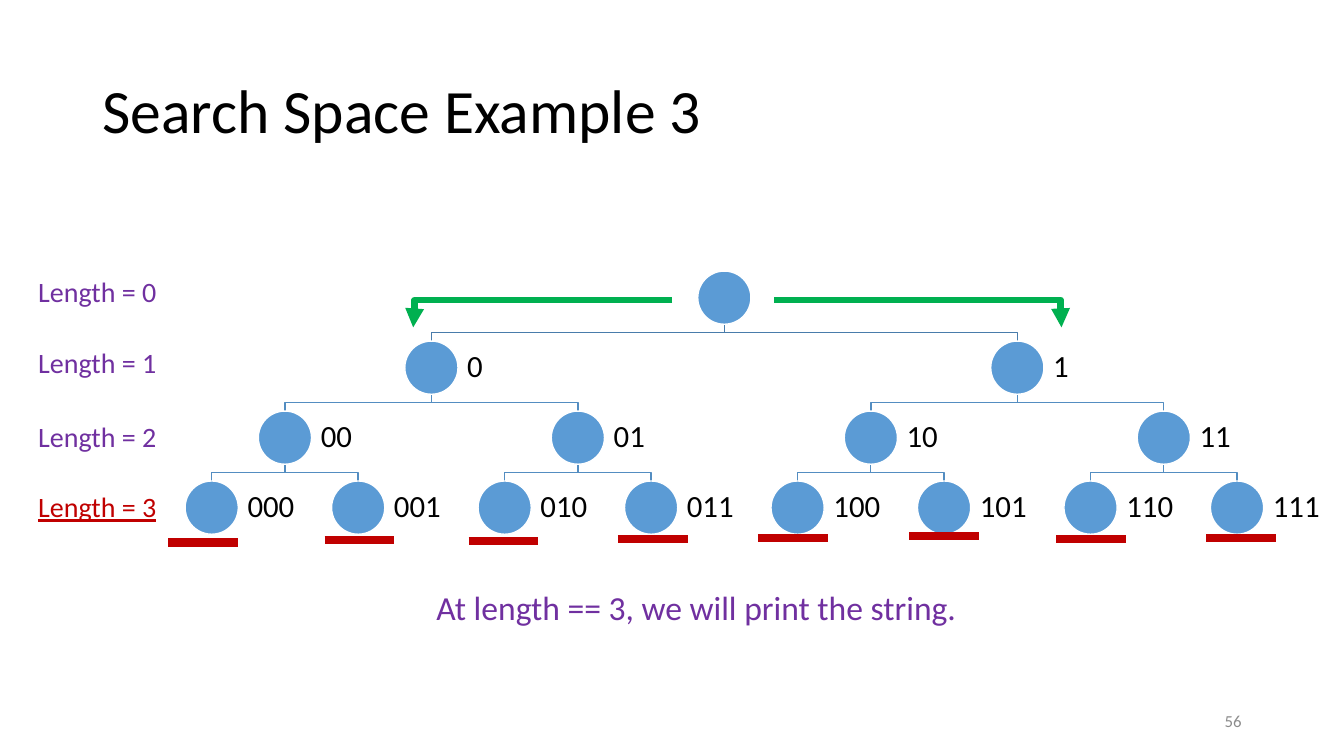
from lxml import etree
from pptx import Presentation
from pptx.dml.color import RGBColor
from pptx.enum.shapes import MSO_CONNECTOR, MSO_SHAPE
from pptx.enum.text import MSO_ANCHOR, MSO_AUTO_SIZE, PP_ALIGN
from pptx.oxml.ns import qn
from pptx.util import Pt

FONT = "Calibri"
BLACK, PURPLE, RED, GREEN, GREY = "000000", "7030A0", "C00000", "00B050", "8C8C8C"
NODE_BLUE, ROOT_EDGE, EDGE, WHITE = "5B9BD5", "497CAB", "538DC1", "FFFFFF"
DEPTH = 3
NODE = 38         # circle diameter
LEVEL_STEP = 50   # distance between tree levels
# left end and height of the bar under each leaf, relative to the tree box
BARS = [(-12, 193.8), (99.6, 192.3), (202.6, 193), (309.2, 191.6),
        (409.2, 190.9), (517.2, 189.4), (622.4, 191.6), (729.6, 190.9)]
BAR_WIDTH = 49.8


def color(value):
    return RGBColor.from_string(value)


def write(tf, text, size, fill=BLACK, align=PP_ALIGN.LEFT, anchor=MSO_ANCHOR.TOP,
          wrap=True, underline=None, spacing=None, inset=None):
    tf.word_wrap = wrap
    tf.auto_size = MSO_AUTO_SIZE.NONE if wrap else MSO_AUTO_SIZE.SHAPE_TO_FIT_TEXT
    tf.vertical_anchor = anchor
    if inset is not None:
        tf.margin_left = tf.margin_right = tf.margin_top = tf.margin_bottom = Pt(inset)
    p = tf.paragraphs[0]
    p.alignment = align
    p.line_spacing = spacing
    r = p.add_run()
    r.text = text
    r.font.name, r.font.size, r.font.underline = FONT, Pt(size), underline
    r.font.color.rgb = color(fill)


def add_text(s, box, text, size, **fmt):
    sp = s.shapes.add_textbox(*map(Pt, box))
    write(sp.text_frame, text, size, **fmt)


def add_line(s, kind, start, end, fill, width):
    sp = s.shapes.add_connector(kind, *map(Pt, (*start, *end)))
    sp.line.color.rgb = color(fill)
    sp.line.width = Pt(width)
    etree.SubElement(sp._element.spPr, qn("a:effectLst"))
    return sp


def add_title(s, box, text):
    sp = s.shapes.title
    sp.left, sp.top, sp.width, sp.height = map(Pt, box)
    write(sp.text_frame, text, 44, anchor=MSO_ANCHOR.MIDDLE, spacing=0.9)


def add_edge(s, start, end, fill):
    (x1, y1), (x2, y2) = start, end
    middle = (y1 + y2) / 2
    fb = s.shapes.build_freeform(Pt(x1), Pt(y1))
    fb.add_line_segments([(Pt(x), Pt(y)) for x, y in
                          ((x1, middle), (x2, middle), (x2, y2))], close=False)
    sp = fb.convert_to_shape()
    sp.shadow.inherit = False
    sp.fill.background()
    sp.line.color.rgb = color(fill)
    sp.line.width = Pt(1)


def add_node(s, x, top, label):
    sp = s.shapes.add_shape(MSO_SHAPE.OVAL, Pt(x - NODE / 2), Pt(top), Pt(NODE), Pt(NODE))
    sp.shadow.inherit = False
    sp.fill.solid()
    sp.fill.fore_color.rgb = color(NODE_BLUE)
    sp.line.color.rgb = color(WHITE)
    sp.line.width = Pt(1)
    if label:
        add_text(s, (x + NODE / 2, top, 57, NODE), label, 22,
                 anchor=MSO_ANCHOR.MIDDLE, spacing=0.9, inset=6.6)


def add_tree(s, box):
    left, top, width, _ = box
    leaf_step = (width - NODE) / (2 ** DEPTH - 1)

    def node_at(level, i):
        x = left + NODE / 2 + leaf_step * ((i + 0.5) * 2 ** (DEPTH - level) - 0.5)
        return x, top + level * LEVEL_STEP

    # Branches, each from a parent's bottom to a child's top
    for level in range(1, DEPTH + 1):
        for i in range(2 ** level):
            x, y = node_at(level - 1, i // 2)
            add_edge(s, (x, y + NODE), node_at(level, i),
                     ROOT_EDGE if level == 1 else EDGE)
    # Nodes, labelled with the binary string built so far
    for level in range(DEPTH + 1):
        for i in range(2 ** level):
            add_node(s, *node_at(level, i), f"{i:0{level}b}" if level else "")
    # Bars under the leaves
    for x, y in BARS:
        add_line(s, MSO_CONNECTOR.STRAIGHT, (left + x, top + y),
                 (left + x + BAR_WIDTH, top + y), RED, 6)


def add_choice_arrows(s, box):
    left, top, width, height = box
    for start, end, bend in ((left + 185, left, 99500),
                             (left + 257.8, left + width, 99700)):
        sp = add_line(s, MSO_CONNECTOR.ELBOW, (start, top), (end, top + height), GREEN, 4.5)
        guides = sp._element.spPr.find(qn("a:prstGeom")).get_or_add_avLst()
        etree.SubElement(guides, qn("a:gd"), name="adj1", fmla=f"val {bend}")
        etree.SubElement(sp.line._get_or_add_ln(), qn("a:tailEnd"), type="triangle")


def add_level_labels(s, box):
    left, top, width, height = box
    for level, offset in enumerate((0, 51.1, 103.7, 154.1)):
        last = level == DEPTH
        add_text(s, (left, top + offset, width, height), f"Length = {level}", 20,
                 fill=RED if last else PURPLE, underline=last or None, wrap=False)


def main():
    prs = Presentation()
    prs.slide_width, prs.slide_height = Pt(960), Pt(540)
    s = prs.slides.add_slide(prs.slide_layouts[5])
    add_title(s, (66, 28.8, 828, 104.4), "Search Space Example 3")
    add_tree(s, (132.2, 193.6, 770.4, 188))
    add_level_labels(s, (20.2, 192.2, 99.4, 31.5))
    add_text(s, (304.6, 415.4, 388.8, 36), "At length == 3, we will print the string.", 24,
             fill=PURPLE, wrap=False)
    add_text(s, (678, 500.4, 216, 28.8), "56", 12, fill=GREY, align=PP_ALIGN.RIGHT,
             anchor=MSO_ANCHOR.MIDDLE)
    add_choice_arrows(s, (295.2, 214.2, 463, 19.6))
    prs.save("out.pptx")


if __name__ == "__main__":
    main()
